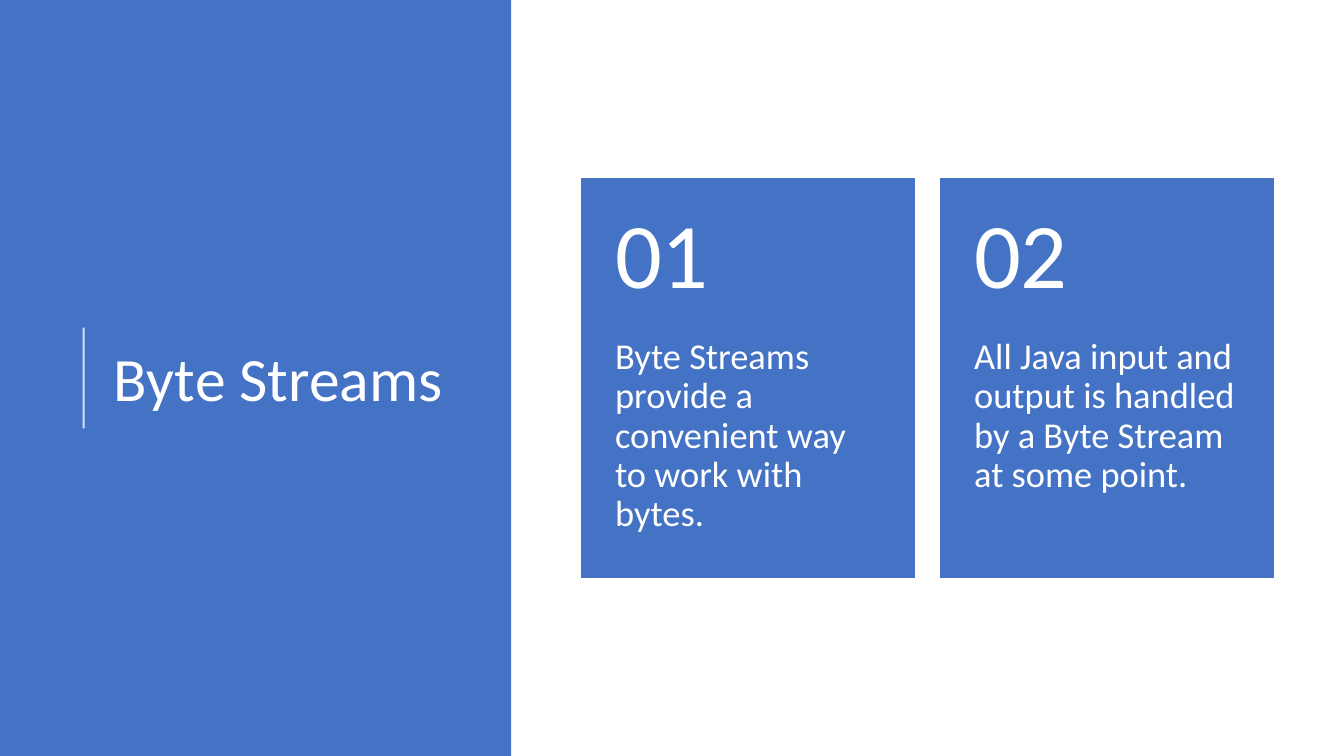
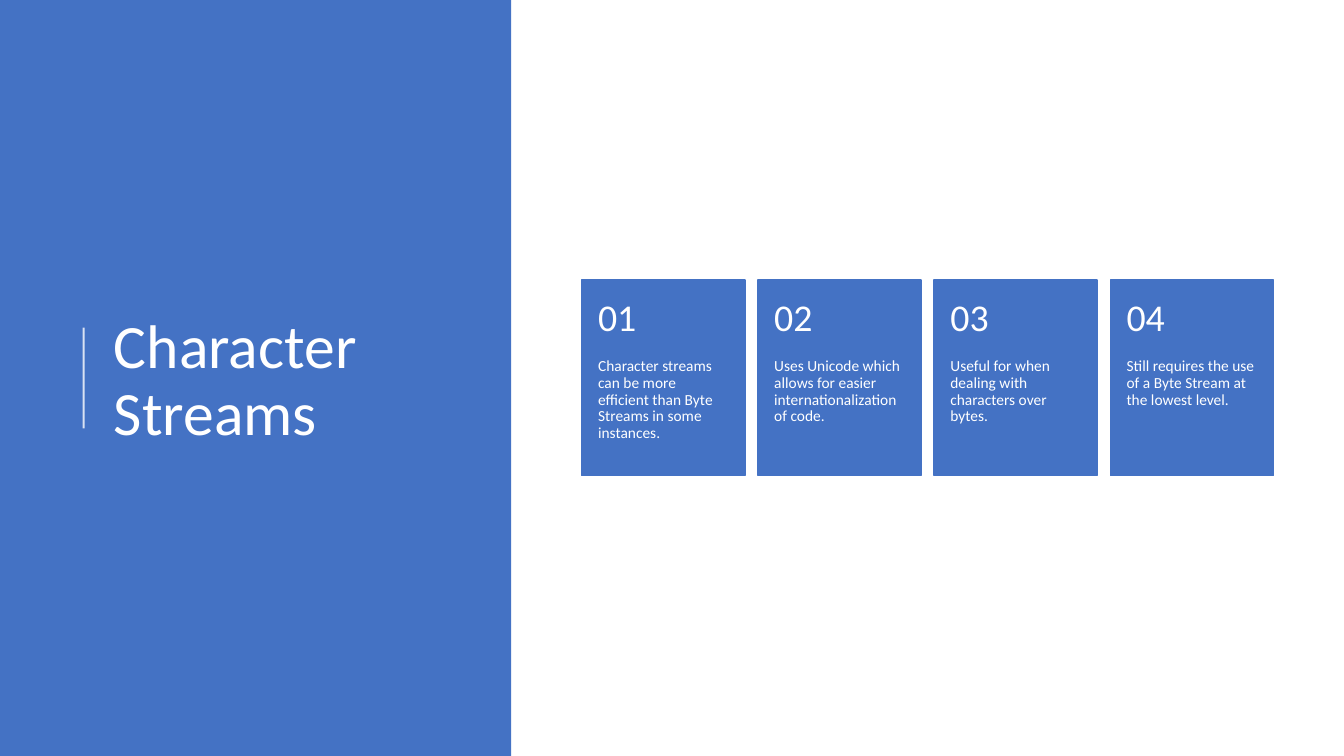
from lxml import etree
from pptx import Presentation
from pptx.dml.color import RGBColor
from pptx.enum import shapes, text
from pptx.oxml import ns
from pptx.util import Inches, Pt

# Shared style
BLUE = RGBColor(0x44, 0x72, 0xC4)
WHITE = RGBColor(0xFF, 0xFF, 0xFF)
FONT = "Calibri"
SLIDE_WIDTH, SLIDE_HEIGHT = 13.33, 7.5
PANEL_WIDTH = 5.07
TITLE_ONLY = 5

# Card row: every measure follows from the card width
ROW_LEFT, ROW_WIDTH = 5.77, 6.86
GAP_RATIO, HEIGHT_RATIO, INSET_RATIO = 0.08, 1.2, 0.1
NUMBER_SHARE = 0.4


def write(shape, content, size, anchor=text.MSO_ANCHOR.TOP,
          insets=(0.1, 0.05, 0.1, 0.05)):
    """Fill a shape with one left-aligned white paragraph."""
    frame = shape.text_frame
    frame.word_wrap = True
    frame.auto_size = text.MSO_AUTO_SIZE.NONE
    frame.vertical_anchor = anchor
    (frame.margin_left, frame.margin_top,
     frame.margin_right, frame.margin_bottom) = map(Inches, insets)
    para = frame.paragraphs[0]
    para.alignment = text.PP_ALIGN.LEFT
    para.line_spacing = 0.9
    span = para.add_run()
    span.text = content
    span.font.name = FONT
    span.font.size = Pt(size)
    span.font.color.rgb = WHITE


class Builder:
    def __init__(self):
        self.deck = Presentation()
        self.deck.slide_width = Inches(SLIDE_WIDTH)
        self.deck.slide_height = Inches(SLIDE_HEIGHT)
        self.page = None

    def add_page(self, title):
        layout = self.deck.slide_layouts[TITLE_ONLY]
        self.page = self.deck.slides.add_slide(layout)
        panel = self.block(self.page.shapes, 0, 0, PANEL_WIDTH, SLIDE_HEIGHT)
        rule = self.rule(0.83, 3.25, 4.25)
        heading = self.title(title)
        # Keep the title in front of the panel
        heading.element.addprevious(panel.element)
        heading.element.addprevious(rule.element)

    def title(self, content):
        heading = self.page.shapes.title
        heading.left, heading.top = Inches(1.03), Inches(0.78)
        heading.width, heading.height = Inches(3.69), Inches(6.02)
        write(heading, content, 44, text.MSO_ANCHOR.MIDDLE)
        return heading

    def block(self, parent, left, top, width, height, outlined=False):
        box = parent.add_shape(shapes.MSO_SHAPE.RECTANGLE, Inches(left),
                               Inches(top), Inches(width), Inches(height))
        box.shadow.inherit = False
        box.fill.solid()
        box.fill.fore_color.rgb = BLUE
        if outlined:
            box.line.color.rgb = BLUE
            box.line.width = Pt(1)
        else:
            box.line.fill.background()
        return box

    def rule(self, x, top, bottom):
        line = self.page.shapes.add_connector(
            shapes.MSO_CONNECTOR.STRAIGHT,
            Inches(x), Inches(bottom), Inches(x), Inches(top))
        line.line.color.rgb = WHITE
        line.line.width = Pt(1.5)
        properties = line.element.spPr
        # 80 % opacity, no shadow
        color = next(properties.iter(ns.qn("a:srgbClr")))
        etree.SubElement(color, ns.qn("a:alpha")).set("val", "80000")
        etree.SubElement(properties, ns.qn("a:effectLst"))
        return line

    def label(self, parent, content, left, top, width, height, **style):
        box = parent.add_textbox(Inches(left), Inches(top),
                                 Inches(width), Inches(height))
        write(box, content, **style)

    def cards(self, sentences, number_size, body_size):
        count = len(sentences)
        width = ROW_WIDTH / (count + GAP_RATIO * (count - 1))
        height = width * HEIGHT_RATIO
        top = (SLIDE_HEIGHT - height) / 2
        number_height = height * NUMBER_SHARE
        inset = width * INSET_RATIO
        row = self.page.shapes.add_group_shape().shapes
        for index, sentence in enumerate(sentences):
            left = ROW_LEFT + index * width * (1 + GAP_RATIO)
            self.block(row, left, top, width, height, outlined=True)
            self.label(row, sentence, left, top + number_height,
                       width, height - number_height,
                       size=body_size, insets=(inset, 0, inset, 0.36))
            self.label(row, f"{index + 1:02d}", left, top,
                       width, number_height, size=number_size,
                       anchor=text.MSO_ANCHOR.MIDDLE,
                       insets=(inset, 0.18, inset, 0.18))


builder = Builder()

# Slide 1: byte streams
builder.add_page("Byte Streams")
builder.cards([
    "Byte Streams provide a convenient way to work with bytes.",
    "All Java input and output is handled by a Byte Stream at some point.",
], number_size=66, body_size=26)

# Slide 2: character streams
builder.add_page("Character Streams")
builder.cards([
    "Character streams can be more efficient than Byte Streams in some "
    "instances.",
    "Uses Unicode which allows for easier internationalization of code.",
    "Useful for when dealing with characters over bytes.",
    "Still requires the use of a Byte Stream at the lowest level.",
], number_size=27, body_size=11)

builder.deck.save("out.pptx")
